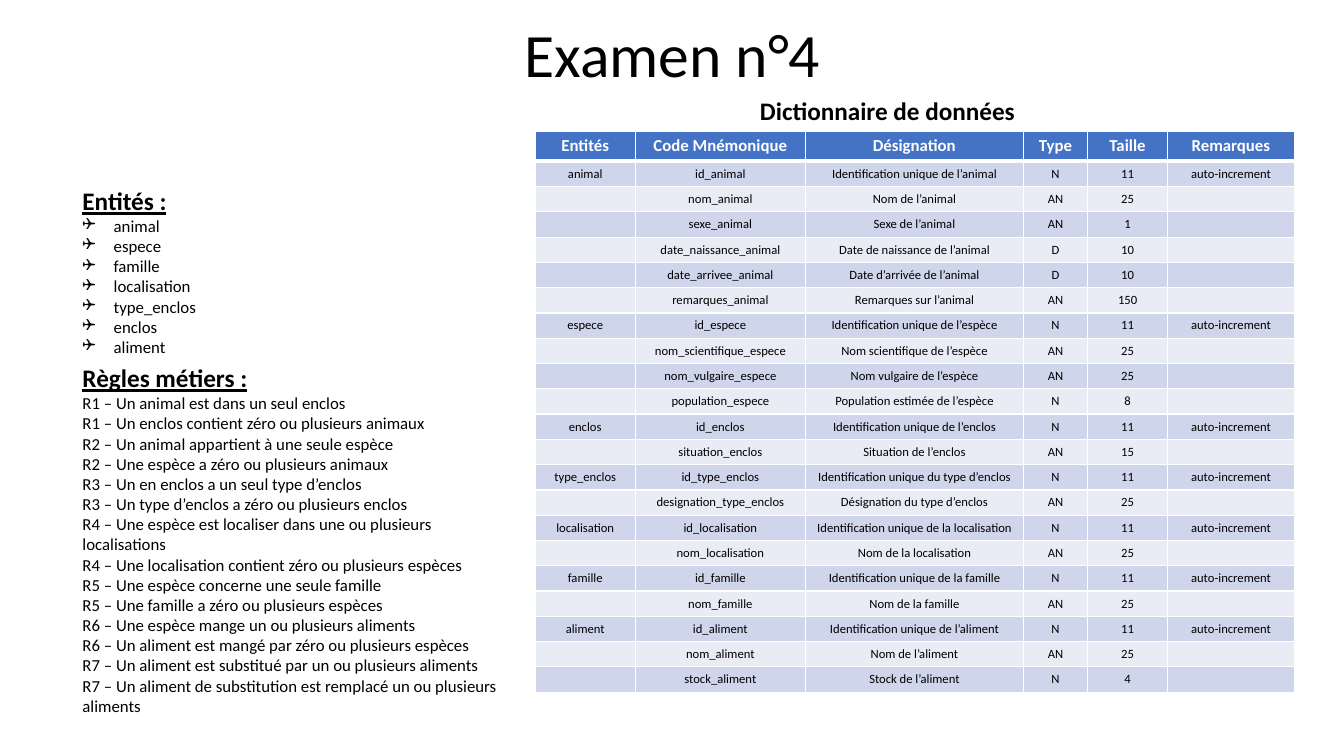
from lxml import etree
from pptx import Presentation
from pptx import util as u
from pptx.dml.color import RGBColor
from pptx.enum import text
from pptx.oxml.ns import qn

TITLE = "Examen n°4"
CAPTION = "Dictionnaire de données"
ENTITIES_HEAD = "Entités :"
ENTITIES = ["animal", "espece", "famille", "localisation", "type_enclos", "enclos", "aliment"]
RULES_HEAD = "Règles métiers :"
RULES = [
    "R1 – Un animal est dans un seul enclos",
    "R1 – Un enclos contient zéro ou plusieurs animaux",
    "R2 – Un animal appartient à une seule espèce",
    "R2 – Une espèce a zéro ou plusieurs animaux",
    "R3 – Un en enclos a un seul type d’enclos",
    "R3 – Un type d’enclos a zéro ou plusieurs enclos",
    "R4 – Une espèce est localiser dans une ou plusieurs localisations",
    "R4 – Une localisation contient zéro ou plusieurs espèces",
    "R5 – Une espèce concerne une seule famille",
    "R5 – Une famille a zéro ou plusieurs espèces",
    "R6 – Une espèce mange un ou plusieurs aliments",
    "R6 – Un aliment est mangé par zéro ou plusieurs espèces",
    "R7 – Un aliment est substitué par un ou plusieurs aliments",
    "R7 – Un aliment de substitution est remplacé un ou plusieurs aliments",
]
HEADER = ["Entités", "Code Mnémonique", "Désignation", "Type", "Taille", "Remarques"]
DICTIONARY = {
    "animal": [
        ("id_animal", "Identification unique de l’animal", "N", "11"),
        ("nom_animal", "Nom de l’animal", "AN", "25"),
        ("sexe_animal", "Sexe de l’animal", "AN", "1"),
        ("date_naissance_animal", "Date de naissance de l’animal", "D", "10"),
        ("date_arrivee_animal", "Date d’arrivée de l’animal", "D", "10"),
        ("remarques_animal", "Remarques sur l’animal", "AN", "150"),
    ],
    "espece": [
        ("id_espece", "Identification unique de l’espèce", "N", "11"),
        ("nom_scientifique_espece", "Nom scientifique de l’espèce", "AN", "25"),
        ("nom_vulgaire_espece", "Nom vulgaire de l’espèce", "AN", "25"),
        ("population_espece", "Population estimée de l’espèce", "N", "8"),
    ],
    "enclos": [
        ("id_enclos", "Identification unique de l’enclos", "N", "11"),
        ("situation_enclos", "Situation de l’enclos", "AN", "15"),
    ],
    "type_enclos": [
        ("id_type_enclos", "Identification unique du type d’enclos", "N", "11"),
        ("designation_type_enclos", "Désignation du type d’enclos", "AN", "25"),
    ],
    "localisation": [
        ("id_localisation", "Identification unique de la localisation", "N", "11"),
        ("nom_localisation", "Nom de la localisation", "AN", "25"),
    ],
    "famille": [
        ("id_famille", "Identification unique de la famille", "N", "11"),
        ("nom_famille", "Nom de la famille", "AN", "25"),
    ],
    "aliment": [
        ("id_aliment", "Identification unique de l’aliment", "N", "11"),
        ("nom_aliment", "Nom de l’aliment", "AN", "25"),
        ("stock_aliment", "Stock de l’aliment", "N", "4"),
    ],
}
KEY_REMARK = "auto-increment"

SLIDE_W, SLIDE_H = 13.33, 7.5
TITLE_BOX = (6.9, -2, 86.27, 19.33)
CAPTION_BOX = (55.81, 12, 21.98, 5.33)
ENTITIES_BOX = (5.4, 23.87, 21.98, 28.27)
RULES_BOX = (5.4, 47.33, 33.46, 48.53)
TABLE_BOX = (39.83, 17.33, 56.49, 74)
COL_SHARES = [99, 169, 216, 64, 79, 126]
HEADER_SHARE, ROW_SHARE = 6, 5
CENTER = text.PP_ALIGN.CENTER
MIDDLE = text.MSO_ANCHOR.MIDDLE


def color(value):
    return RGBColor.from_string(value)


def place(box):
    x, y, w, h = box
    return [u.Inches(share * side / 100)
            for share, side in ((x, SLIDE_W), (y, SLIDE_H), (w, SLIDE_W), (h, SLIDE_H))]


def write(p, content, size=12, fill="000000", bold=False, underline=False, align=None):
    p.alignment = align
    if not content:
        p._p.get_or_add_endParaRPr().set("sz", str(size * 100))
        return
    r = p.add_run()
    r.text = content
    r.font.name = "Calibri"
    r.font.size = u.Pt(size)
    r.font.bold = bold
    r.font.underline = underline
    r.font.color.rgb = color(fill)


def add_box(slide, box, grow=True):
    tf = slide.shapes.add_textbox(*place(box)).text_frame
    tf.word_wrap = True
    if grow:
        tf.auto_size = text.MSO_AUTO_SIZE.SHAPE_TO_FIT_TEXT
    return tf


def add_bullet(p):
    pr = p._p.get_or_add_pPr()
    pr.set("marL", str(u.Inches(0.31)))
    pr.set("indent", str(-u.Inches(0.31)))
    etree.SubElement(pr, qn("a:buFont")).set("typeface", "Wingdings")
    etree.SubElement(pr, qn("a:buChar")).set("char", "❑")


def add_section(slide, box, head, items, bullets=False):
    tf = add_box(slide, box)
    write(tf.paragraphs[0], head, size=18, bold=True, underline=True)
    for item in items:
        p = tf.add_paragraph()
        write(p, item)
        if bullets:
            add_bullet(p)


def add_borders(cell, bottom):
    pr = cell._tc.get_or_add_tcPr()
    for side, width in (("L", 1), ("R", 1), ("T", 1), ("B", bottom)):
        ln = etree.SubElement(pr, qn("a:ln" + side), w=str(u.Pt(width)))
        fill = etree.SubElement(ln, qn("a:solidFill"))
        etree.SubElement(fill, qn("a:srgbClr"), val="FFFFFF")


def add_dictionary(slide):
    rows = [HEADER]
    for entity, fields in DICTIONARY.items():
        for i, field in enumerate(fields):
            rows.append([entity if i == 0 else "", *field, KEY_REMARK if i == 0 else ""])
    x, y, w, h = place(TABLE_BOX)
    table = slide.shapes.add_table(len(rows), len(HEADER), x, y, w, h).table
    for col, share in zip(table.columns, COL_SHARES):
        col.width = int(w * share / sum(COL_SHARES))
    unit = h / (HEADER_SHARE + ROW_SHARE * (len(rows) - 1))
    for i, values in enumerate(rows):
        head = i == 0
        table.rows[i].height = int(unit * (HEADER_SHARE if head else ROW_SHARE))
        fill = "4472C4" if head else "CFD5EA" if i % 2 else "E9EBF5"
        for cell, value in zip(table.rows[i].cells, values):
            add_borders(cell, 3 if head else 1)
            cell.fill.solid()
            cell.fill.fore_color.rgb = color(fill)
            if head:
                cell.vertical_anchor = MIDDLE
            write(cell.text_frame.paragraphs[0], value, size=12 if head else 9,
                  fill="FFFFFF" if head else "000000", bold=head, align=CENTER)


def main():
    prs = Presentation()
    prs.slide_width, prs.slide_height = u.Inches(SLIDE_W), u.Inches(SLIDE_H)
    slide = prs.slides.add_slide(prs.slide_layouts[6])
    tf = add_box(slide, TITLE_BOX, grow=False)
    tf.vertical_anchor = MIDDLE
    tf.paragraphs[0].line_spacing = 0.9
    write(tf.paragraphs[0], TITLE, size=44, align=CENTER)
    add_section(slide, ENTITIES_BOX, ENTITIES_HEAD, ENTITIES, bullets=True)
    add_dictionary(slide)
    write(add_box(slide, CAPTION_BOX).paragraphs[0], CAPTION, size=18, bold=True)
    add_section(slide, RULES_BOX, RULES_HEAD, RULES)
    prs.save("out.pptx")


if __name__ == "__main__":
    main()
